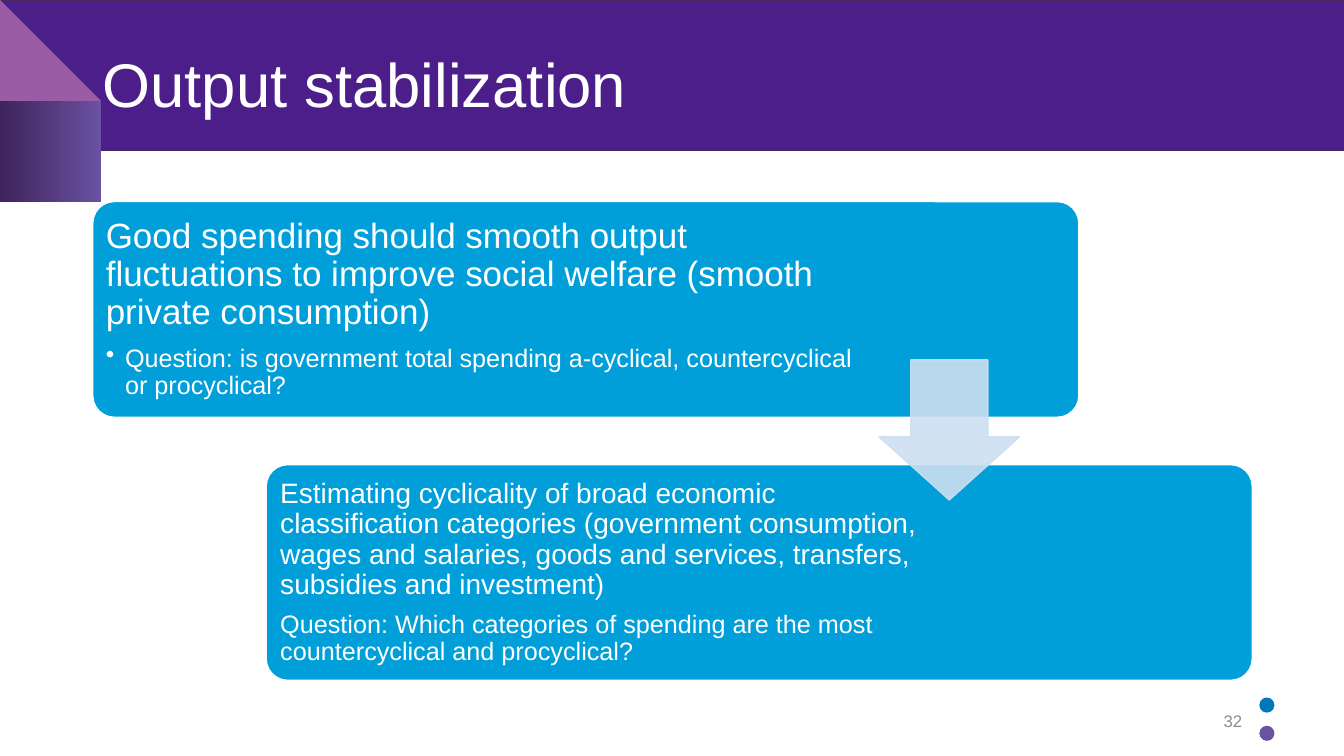
from lxml import etree
from pptx import Presentation
from pptx.dml.color import RGBColor
from pptx.enum.shapes import MSO_SHAPE
from pptx.enum.text import MSO_ANCHOR, PP_ALIGN
from pptx.oxml.ns import qn
from pptx.util import Inches, Pt

RECT, ROUNDED = MSO_SHAPE.RECTANGLE, MSO_SHAPE.ROUNDED_RECTANGLE
OVAL, DOWN_ARROW = MSO_SHAPE.OVAL, MSO_SHAPE.DOWN_ARROW
MIDDLE = MSO_ANCHOR.MIDDLE
LEFT, RIGHT = PP_ALIGN.LEFT, PP_ALIGN.RIGHT

COLORS = {
    "white": "FFFFFF", "banner": "4C1E89", "banner_line": "49275B",
    "fold_dark": "3D245B", "violet": "6A51A2", "mauve": "995CA5",
    "blue": "0076BC", "card": "009FDA", "arrow": "CCDFF1", "number": "8C8C8C",
}

LOWER_FOLD = [
    (0.15, 1.49), (0.66, 0.82), (0.7, 0.77, 0.69, 0.69, 0.63, 0.65), (0.6, 0.62),
    (0.55, 0.58, 0.47, 0.59, 0.42, 0.64), (-0.09, 1.31),
    (-0.13, 1.36, -0.12, 1.44, -0.06, 1.49), (-0.03, 1.51),
    (0.03, 1.55, 0.11, 1.54, 0.15, 1.49),
]
UPPER_FOLD = [
    (0.36, 0.73), (-0.07, 0.17), (-0.12, 0.1, -0.11, 0.01, -0.05, -0.04),
    (0.02, -0.09, 0.11, -0.07, 0.16, -0.01), (0.66, 0.64),
    (0.69, 0.68, 0.7, 0.75, 0.67, 0.8), (0.66, 0.82, 0.43, 1.11, 0.43, 1.11),
    (0.43, 1.11, 0.46, 1.02, 0.45, 0.93), (0.45, 0.84, 0.36, 0.73, 0.36, 0.73),
]

CARDS = [
    (7.56, 0.07, [
        ("Good spending should smooth output fluctuations to improve social welfare "
         "(smooth private consumption)", 25, False),
        ("Question: is government total spending a-cyclical, countercyclical or "
         "procyclical?", 18, True)]),
    (6.53, 0.08, [
        ("Estimating cyclicality of broad economic classification categories "
         "(government consumption, wages and salaries, goods and services, transfers, "
         "subsidies and investment)", 20, False),
        ("Question: Which categories of spending are the most countercyclical and "
         "procyclical?", 18, False)]),
]


def rgb(name):
    return RGBColor.from_string(COLORS[name])


def flatten(outline, steps=10):
    points = [outline[0]]
    for segment in outline[1:]:
        if len(segment) == 2:
            points.append(segment)
            continue
        x0, y0 = points[-1]
        x1, y1, x2, y2, x3, y3 = segment
        for i in range(1, steps + 1):
            t = i / steps
            a, b, c, d = (1 - t) ** 3, 3 * t * (1 - t) ** 2, 3 * t * t * (1 - t), t ** 3
            points.append((a * x0 + b * x1 + c * x2 + d * x3,
                           a * y0 + b * y1 + c * y2 + d * y3))
    return points


class SlideBuilder:
    """Holds the font and the current slide and adds styled elements."""

    def __init__(self, slide, font):
        self.shapes = slide.shapes
        self.font = font

    def shape(self, kind, x, y, w, h, fill, line=None, adjust=(), alpha=None):
        s = self.shapes.add_shape(kind, Inches(x), Inches(y), Inches(w), Inches(h))
        s.shadow.inherit = False
        for i, value in enumerate(adjust):
            s.adjustments[i] = value
        s.fill.solid()
        s.fill.fore_color.rgb = rgb(fill)
        if line:
            s.line.color.rgb = rgb(line)
            s.line.width = Pt(1)
        else:
            s.line.fill.background()
        if alpha:
            for color in s.element.spPr.iter(qn("a:srgbClr")):
                etree.SubElement(color, qn("a:alpha"), val=str(alpha * 1000))

    def freeform(self, outline, colors):
        points = flatten(outline)
        builder = self.shapes.build_freeform(*points[0], scale=Inches(1))
        builder.add_line_segments(points[1:], close=True)
        s = builder.convert_to_shape()
        s.shadow.inherit = False
        s.line.fill.background()
        if len(colors) == 1:
            s.fill.solid()
            s.fill.fore_color.rgb = rgb(colors[0])
            return
        s.fill.gradient()
        s.fill.gradient_angle = 0
        for stop, color in zip(s.fill.gradient_stops, colors):
            stop.color.rgb = rgb(color)

    def text(self, x, y, w, h, paragraphs, color="white", align=LEFT,
             inset=(0.1, 0.05), spacing=0.9, gap=0):
        s = self.shapes.add_textbox(Inches(x), Inches(y), Inches(w), Inches(h))
        tf = s.text_frame
        tf.word_wrap = True
        tf.vertical_anchor = MIDDLE
        tf.margin_left = tf.margin_right = Inches(inset[0])
        tf.margin_top = tf.margin_bottom = Inches(inset[1])
        for i, (words, size, bullet) in enumerate(paragraphs):
            p = tf.add_paragraph() if i else tf.paragraphs[0]
            p.text = words
            if bullet:
                pPr = p._p.get_or_add_pPr()
                pPr.set("marL", str(Inches(0.19)))
                pPr.set("indent", str(-Inches(0.19)))
                etree.SubElement(pPr, qn("a:buChar"), char="•")
            p.alignment = align
            p.line_spacing = spacing
            p.space_after = Pt(size * gap * (0.4 if bullet else 1))
            for r in p.runs:
                r.font.name = self.font
                r.font.size = Pt(size)
                r.font.color.rgb = rgb(color)


def main():
    prs = Presentation()
    prs.slide_width, prs.slide_height = Inches(13.33), Inches(7.5)
    b = SlideBuilder(prs.slides.add_slide(prs.slide_layouts[6]), "Arial")

    b.shape(RECT, 0, 0, 13.33, 1.49, "banner", "banner_line")
    b.freeform(LOWER_FOLD, ["fold_dark", "violet"])
    b.freeform(UPPER_FOLD, ["mauve"])
    for y, color in ((6.92, "blue"), (7.2, "violet")):
        b.shape(OVAL, 12.49, y, 0.15, 0.15, color)
    b.text(0.92, 0.24, 11.5, 1.25, [("Output stabilization", 44, False)])

    for i, (text_width, inset, paragraphs) in enumerate(CARDS):
        x, y = 0.92 + 1.72 * i, 2 + 2.61 * i
        b.shape(ROUNDED, x, y, 9.78, 2.14, "card", "white", [0.1])
        b.text(x + 0.06, y + 0.06, text_width, 2.02, paragraphs,
               inset=(inset, inset), gap=0.39)
    b.shape(DOWN_ARROW, 8.72, 3.57, 1.39, 1.39, "arrow", "arrow", [0.55, 0.45], alpha=90)
    b.text(9.42, 6.95, 3, 0.4, [("32", 12, False)], "number", RIGHT, spacing=1.0)

    prs.save("out.pptx")


if __name__ == "__main__":
    main()
